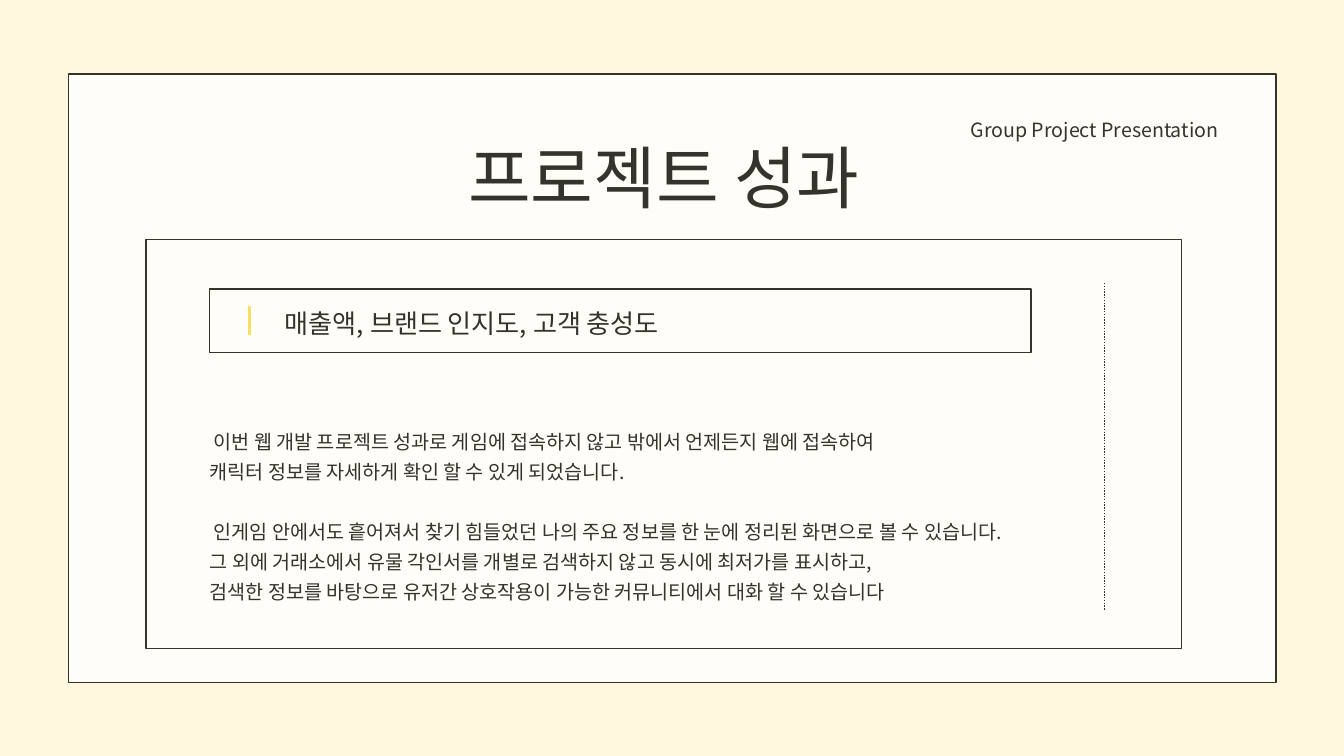
from lxml.etree import SubElement
from pptx import Presentation
from pptx.dml.color import RGBColor
from pptx.enum.dml import MSO_LINE
from pptx.enum.shapes import MSO_CONNECTOR, MSO_SHAPE
from pptx.enum.text import MSO_ANCHOR, MSO_AUTO_SIZE, PP_ALIGN
from pptx.oxml.ns import qn
from pptx.util import Inches, Pt

COLORS = {"background": "FFF8DE", "panel": "FFFDF8", "ink": "34332C", "accent": "FFDF60"}
FONT = "Noto Sans CJK KR"

# Each block of the body is a list of (line, first-line indent in inches)
BODY_BLOCKS = [
    [("이번 웹 개발 프로젝트 성과로 게임에 접속하지 않고 밖에서 언제든지 웹에 접속하여", 0.06),
     ("캐릭터 정보를 자세하게 확인 할 수 있게 되었습니다.", 0)],
    [("인게임 안에서도 흩어져서 찾기 힘들었던 나의 주요 정보를 한 눈에 정리된 화면으로 볼 수 있습니다.", 0.06),
     ("그 외에 거래소에서 유물 각인서를 개별로 검색하지 않고 동시에 최저가를 표시하고,", 0),
     ("검색한 정보를 바탕으로 유저간 상호작용이 가능한 커뮤니티에서 대화 할 수 있습니다", 0)],
]


def color(name):
    return RGBColor.from_string(COLORS[name])


def add_frame(slide, left, top, width, height):
    """Add an outlined panel."""
    shape = slide.shapes.add_shape(
        MSO_SHAPE.RECTANGLE, Inches(left), Inches(top), Inches(width), Inches(height))
    shape.shadow.inherit = False
    shape.fill.solid()
    shape.fill.fore_color.rgb = color("panel")
    shape.line.color.rgb = color("ink")
    shape.line.width = Pt(1.5)


def add_vertical_line(slide, x, top, bottom, color_name, width, dash=None):
    connector = slide.shapes.add_connector(
        MSO_CONNECTOR.STRAIGHT, Inches(x), Inches(top), Inches(x), Inches(bottom))
    connector.line.color.rgb = color(color_name)
    connector.line.width = Pt(width)
    if dash:
        connector.line.dash_style = dash
    SubElement(connector.element.spPr, qn("a:effectLst"))


def place_text(shape, left, top, width, height):
    """Position a text shape and remove its margins."""
    places = {"left": left, "top": top, "width": width, "height": height}
    for name, value in places.items():
        setattr(shape, name, Inches(value))
    frame_format = {
        "margin_left": 0, "margin_top": 0, "margin_right": 0, "margin_bottom": 0,
        "word_wrap": True, "auto_size": MSO_AUTO_SIZE.NONE,
        "vertical_anchor": MSO_ANCHOR.TOP,
    }
    for name, value in frame_format.items():
        setattr(shape.text_frame, name, value)


def bring_to_front(shape):
    shape.element.getparent().append(shape.element)


def write_paragraph(paragraph, text, size, line_spacing, alignment, space_before=0):
    run = paragraph.add_run()
    run.text = text
    paragraph_format = {
        "alignment": alignment, "line_spacing": Pt(line_spacing),
        "space_before": Pt(space_before), "space_after": Pt(0),
    }
    for name, value in paragraph_format.items():
        setattr(paragraph, name, value)
    for name, value in {"name": FONT, "size": Pt(size), "bold": False}.items():
        setattr(run.font, name, value)
    run.font.color.rgb = color("ink")
    # Korean glyphs take the East Asian typeface
    SubElement(run.font._element, qn("a:ea")).set("typeface", FONT)


def add_label(slide, text, place, *style):
    box = slide.shapes.add_textbox(0, 0, 0, 0)
    place_text(box, *place)
    write_paragraph(box.text_frame.paragraphs[0], text, *style)


def fill_body(shape, blocks, line_spacing):
    frame = shape.text_frame
    for block_index, block in enumerate(blocks):
        for line_index, (text, indent) in enumerate(block):
            first = block_index == line_index == 0
            paragraph = frame.paragraphs[0] if first else frame.add_paragraph()
            properties = paragraph._p.get_or_add_pPr()
            properties.set("marL", "0")
            properties.set("indent", str(Inches(indent)))
            SubElement(properties, qn("a:buNone"))
            gap = line_spacing if block_index and not line_index else 0
            write_paragraph(paragraph, text, 21, line_spacing, PP_ALIGN.JUSTIFY, gap)


def main():
    presentation = Presentation()
    presentation.slide_width = Inches(20)
    presentation.slide_height = Inches(11.25)
    slide = presentation.slides.add_slide(presentation.slide_layouts[1])
    slide.background.fill.solid()
    slide.background.fill.fore_color.rgb = color("background")
    title, body = slide.placeholders

    # Page, content panel and heading box
    add_frame(slide, 1.02, 1.1, 17.97, 9.06)
    add_frame(slide, 2.17, 3.56, 15.41, 6.09)
    add_frame(slide, 3.12, 4.3, 12.22, 0.95)

    # Title and corner label
    bring_to_front(title)
    place_text(title, 6.1, 1.92, 7.56, 1.31)
    write_paragraph(title.text_frame.paragraphs[0], "프로젝트 성과", 73, 94.2, PP_ALIGN.CENTER)
    add_label(slide, "Group Project Presentation", (13.71, 1.66, 4.42, 0.42),
              21, 32.1, PP_ALIGN.RIGHT)

    # Heading with its accent bar
    add_label(slide, "매출액, 브랜드 인지도, 고객 충성도", (4.24, 4.44, 11.1, 0.57),
              28, 42.8, PP_ALIGN.LEFT)
    add_vertical_line(slide, 3.71, 4.56, 4.98, "accent", 3.75)

    # Body text and dotted divider
    bring_to_front(body)
    place_text(body, 3.12, 6.3, 12.43, 2.6)
    fill_body(body, BODY_BLOCKS, 32.1)
    add_vertical_line(slide, 16.44, 4.21, 9.09, "ink", 1.5, MSO_LINE.ROUND_DOT)

    presentation.save("out.pptx")


if __name__ == "__main__":
    main()
